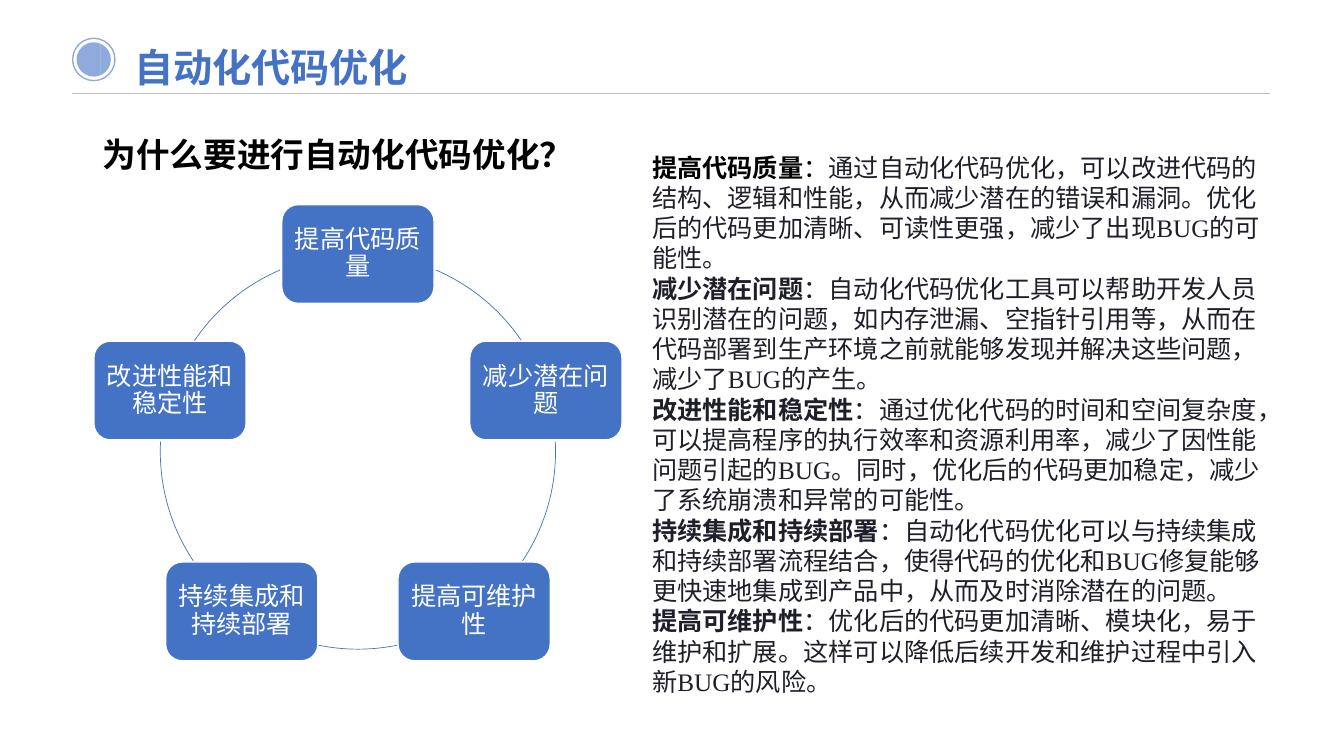
from dataclasses import dataclass
from math import cos, pi, radians, sin

from lxml import etree
from pptx import Presentation
from pptx.dml import color
from pptx.enum import shapes, text
from pptx.oxml import ns
from pptx.util import Inches, Pt


@dataclass(frozen=True)
class Theme:
    """Colours, fonts and type sizes of the slide."""
    blue: str = "4472C4"
    pale_blue: str = "8FAADC"
    grey: str = "BFBFBF"
    white: str = "FFFFFF"
    black: str = "000000"
    ink: str = "1E1F2A"
    sans: str = "Noto Sans CJK SC"
    serif: str = "Times New Roman"
    title: int = 28
    question: int = 24
    body: int = 18


@dataclass(frozen=True)
class Box:
    """Left, top, width and height in inches."""
    left: float
    top: float
    width: float
    height: float

    def lengths(self) -> list:
        """Return the four sides as lengths."""
        return [Inches(side) for side in (self.left, self.top, self.width, self.height)]


@dataclass(frozen=True)
class Reason:
    """One reason, with the arc that follows its node in degrees."""
    name: str
    detail: str
    arc_start: float
    arc_end: float


THEME = Theme()
CENTRE_X, CENTRE_Y, RADIUS = 3.55, 4.48, 1.96
NODE_WIDTH, NODE_HEIGHT = 1.51, 0.98
GEAR_X, GEAR_Y = 0.935, 0.587
REASONS = [
    Reason("提高代码质量", "通过自动化代码优化，可以改进代码的结构、逻辑和性能，从而减少潜在的错误和漏洞。"
           "优化后的代码更加清晰、可读性更强，减少了出现BUG的可能性。", 293.2, 325.8),
    Reason("减少潜在问题", "自动化代码优化工具可以帮助开发人员识别潜在的问题，如内存泄漏、空指针引用等，"
           "从而在代码部署到生产环境之前就能够发现并解决这些问题，减少了BUG的产生。", 357.1, 33.6),
    Reason("提高可维护性", "优化后的代码更加清晰、模块化，易于维护和扩展。"
           "这样可以降低后续开发和维护过程中引入新BUG的风险。", 78.5, 101.5),
    Reason("持续集成和持续部署", "自动化代码优化可以与持续集成和持续部署流程结合，"
           "使得代码的优化和BUG修复能够更快速地集成到产品中，从而及时消除潜在的问题。", 146.4, 182.9),
    Reason("改进性能和稳定性", "通过优化代码的时间和空间复杂度，可以提高程序的执行效率和资源利用率，减少了因性能问题引起的BUG。"
           "同时，优化后的代码更加稳定，减少了系统崩溃和异常的可能性。", 214.2, 246.8),
]
READING_ORDER = [0, 1, 4, 3, 2]


def rgb(value: str) -> color.RGBColor:
    """Turn a hex string into a colour."""
    return color.RGBColor.from_string(value)


def style_run(run, size: int, fill: str, bold: bool = False, latin: str = THEME.sans) -> None:
    """Give a run its fonts, size, colour and weight."""
    run.font.name, run.font.size, run.font.bold = latin, Pt(size), bold
    run.font.color.rgb = rgb(fill)
    east_asian = etree.SubElement(run.font._element, ns.qn("a:ea"))
    east_asian.set("typeface", THEME.sans)


def paint(shape, fill: str = "", line: str = "", width: float = 1) -> None:
    """Set fill and line, leaving out whichever is empty."""
    shape.shadow.inherit = False
    if fill:
        shape.fill.solid()
        shape.fill.fore_color.rgb = rgb(fill)
    else:
        shape.fill.background()
    if line:
        shape.line.color.rgb = rgb(line)
        shape.line.width = Pt(width)
    else:
        shape.line.fill.background()


def add_text_frame(slide, box: Box):
    """Add a wrapping text box and return its frame."""
    frame = slide.shapes.add_textbox(*box.lengths()).text_frame
    frame.word_wrap = True
    return frame


def add_heading(slide, box: Box, words: str, size: int, fill: str):
    """Add a bold one-line heading and return its frame."""
    frame = add_text_frame(slide, box)
    frame.text = words
    style_run(frame.paragraphs[0].runs[0], size, fill, bold=True)
    return frame


def circle_points(x: float, y: float, radius: float) -> list[tuple[float, float]]:
    """Return points round a circle."""
    return [(x + radius * cos(pi * step / 16), y + radius * sin(pi * step / 16))
            for step in range(32)]


def gear_outline() -> list[tuple[float, float]]:
    """Return the outline of a gear with eight capped teeth."""
    profile = [(0.072, -0.01), (0.09, -0.01), (0.087, -0.022), (0.104, -0.022),
               (0.104, 0.022), (0.087, 0.022), (0.09, 0.01), (0.072, 0.01)]
    turns = [pi * tooth / 4 for tooth in range(8)]
    return [(GEAR_X + out * cos(turn) - side * sin(turn),
             GEAR_Y + out * sin(turn) + side * cos(turn))
            for turn in turns for out, side in profile]


def add_icon(slide) -> None:
    """Draw the gear badge beside the title."""
    for box, fill, line in ((Box(0.72, 0.38, 0.42, 0.42), "", THEME.pale_blue),
                            (Box(0.76, 0.42, 0.34, 0.34), THEME.pale_blue, "")):
        paint(slide.shapes.add_shape(shapes.MSO_SHAPE.OVAL, *box.lengths()), fill, line)
    outline = gear_outline()
    builder = slide.shapes.build_freeform(*outline[0], scale=Inches(1))
    builder.add_line_segments(outline[1:])
    for x, y, radius in ((GEAR_X, GEAR_Y, 0.055), (0.92, 0.575, 0.018), (0.95, 0.6, 0.01)):
        points = circle_points(x, y, radius)
        builder.move_to(*points[0])
        builder.add_line_segments(points[1:])
    paint(builder.convert_to_shape(), THEME.white)


def add_header(slide) -> None:
    """Draw the badge, the rule and the title."""
    add_icon(slide)
    rule = slide.shapes.add_connector(shapes.MSO_CONNECTOR.STRAIGHT, Inches(0.71), Inches(0.93),
                                      Inches(12.6), Inches(0.93))
    rule.line.color.rgb, rule.line.width = rgb(THEME.grey), Pt(0.5)
    etree.SubElement(rule._element.spPr, ns.qn("a:effectLst"))
    frame = add_heading(slide, Box(1.33, 0.38, 9.76, 0.57), "自动化代码优化",
                        THEME.title, THEME.blue)
    frame.margin_left = 0
    frame.paragraphs[0].space_before = Pt(10)


def add_node(slide, reason: Reason, angle: float) -> None:
    """Draw one node of the cycle and the arc after it."""
    box = Box(CENTRE_X + RADIUS * cos(angle) - NODE_WIDTH / 2,
              CENTRE_Y + RADIUS * sin(angle) - NODE_HEIGHT / 2, NODE_WIDTH, NODE_HEIGHT)
    node = slide.shapes.add_shape(shapes.MSO_SHAPE.ROUNDED_RECTANGLE, *box.lengths())
    paint(node, THEME.blue, THEME.white)
    frame = node.text_frame
    frame.text, frame.word_wrap = reason.name, True
    frame.vertical_anchor = text.MSO_ANCHOR.MIDDLE
    frame.margin_left = frame.margin_right = frame.margin_top = frame.margin_bottom = Inches(0.07)
    paragraph = frame.paragraphs[0]
    paragraph.alignment, paragraph.line_spacing = text.PP_ALIGN.CENTER, 0.9
    style_run(paragraph.runs[0], THEME.body, THEME.white)
    ring = Box(CENTRE_X - RADIUS, CENTRE_Y - RADIUS, 2 * RADIUS, 2 * RADIUS)
    arc = slide.shapes.add_shape(shapes.MSO_SHAPE.ARC, *ring.lengths())
    arc.adjustments[0], arc.adjustments[1] = reason.arc_start * 0.6, reason.arc_end * 0.6
    paint(arc, line=THEME.blue, width=0.5)


def add_details(slide) -> None:
    """Write the explanation of every reason."""
    frame = add_text_frame(slide, Box(6.37, 1.46, 6.33, 5.86))
    for position, index in enumerate(READING_ORDER):
        reason = REASONS[index]
        paragraph = frame.add_paragraph() if position else frame.paragraphs[0]
        lead = THEME.ink if position else THEME.black
        for words, fill, bold in ((reason.name, lead, True), ("：", lead, False),
                                  (reason.detail, THEME.ink, False)):
            run = paragraph.add_run()
            run.text = words
            style_run(run, THEME.body, fill, bold, THEME.serif)


def main() -> None:
    """Build and save the slide."""
    presentation = Presentation()
    presentation.slide_width, presentation.slide_height = Inches(13.33), Inches(7.5)
    slide = presentation.slides.add_slide(presentation.slide_layouts[6])
    add_header(slide)
    add_heading(slide, Box(0.92, 1.28, 11.91, 0.5), "为什么要进行自动化代码优化？",
                THEME.question, THEME.black)
    for index, reason in enumerate(REASONS):
        add_node(slide, reason, radians(72 * index - 90))
    add_details(slide)
    presentation.save("out.pptx")


if __name__ == "__main__":
    main()
